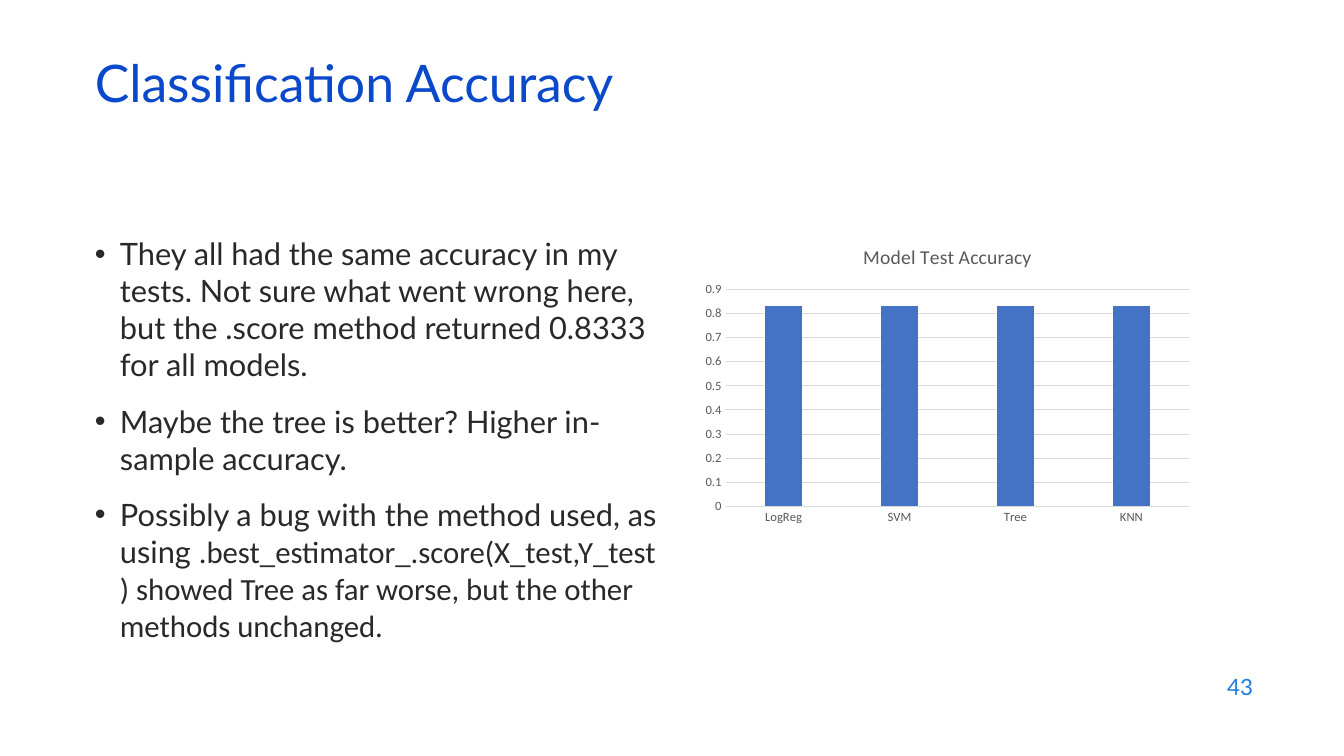
from lxml.etree import SubElement
from pptx import Presentation
from pptx.chart.data import CategoryChartData
from pptx.dml.color import RGBColor
from pptx.enum.chart import XL_CHART_TYPE, XL_TICK_MARK
from pptx.enum.text import MSO_ANCHOR, MSO_AUTO_SIZE, PP_ALIGN
from pptx.oxml.ns import qn
from pptx.util import Pt

# Content
TITLE = "Classification Accuracy"
PAGE_NUMBER = "43"
BULLETS = [
    [("They all had the same accuracy in my tests. Not sure what went wrong here, "
      "but the .score method returned 0.8333 for all models.", "Lato")],
    [("Maybe the tree is better? Higher in-sample accuracy.", "Lato")],
    [("Possibly a bug with the method used, as using ", "Lato"),
     (".best_estimator_.score(X_test,Y_test) showed Tree as far worse, "
      "but the other methods unchanged.", "Calibri")],
]
CHART_TITLE = "Model Test Accuracy"
ACCURACY = {"LogReg": 0.83, "SVM": 0.83, "Tree": 0.83, "KNN": 0.83}

# Places in points: left, top, width, height
TITLE_AT = (60.5, 42.5, 828, 43.2)
BODY_AT = (60.5, 164.2, 419, 300.2)
CHART_AT = (496.8, 163.4, 360, 216)
NUMBER_AT = (686.2, 474.5, 216, 31.7)
INDENT = 18

# Formats
TITLE_FONT = {"name": "Lato", "size": 37, "color": "0B49CB"}
BODY_FONT = {"size": 22, "color": "292929"}
NUMBER_FONT = {"name": "Lato", "size": 16, "color": "1C7DDB"}
CHART_FONT = {"name": "Calibri", "size": 10, "color": "000000"}
CHART_TITLE_FONT = {"name": "Calibri", "size": 14, "bold": False, "color": "595959"}
AXIS_FONT = {"name": "Calibri", "size": 9, "color": "595959"}
GRID, BAR = "D9D9D9", "4472C4"


def paint(target, color):
    target.rgb = RGBColor.from_string(color)


def set_font(font, formats):
    for name, value in formats.items():
        if name == "color":
            paint(font.color, value)
        else:
            setattr(font, name, Pt(value) if name == "size" else value)


def place(box, at):
    for name, value in zip(("left", "top", "width", "height"), at):
        setattr(box, name, Pt(value))


def prepare(box, anchor):
    frame = box.text_frame
    frame.word_wrap = True
    frame.auto_size = MSO_AUTO_SIZE.NONE
    frame.vertical_anchor = anchor
    return frame


def thin_line(line):
    paint(line.color, GRID)
    line.width = Pt(0.75)


deck = Presentation()
deck.slide_width, deck.slide_height = Pt(960), Pt(540)
page = deck.slides.add_slide(deck.slide_layouts[1])

# Title
title = page.shapes.title
place(title, TITLE_AT)
para = prepare(title, MSO_ANCHOR.MIDDLE).paragraphs[0]
para.text = TITLE
para.alignment = PP_ALIGN.LEFT
para.line_spacing = 0.7
set_font(para.runs[0].font, TITLE_FONT)

# Bullet list
body = page.placeholders[1]
place(body, BODY_AT)
frame = prepare(body, MSO_ANCHOR.TOP)
for index, pieces in enumerate(BULLETS):
    para = frame.add_paragraph() if index else frame.paragraphs[0]
    para.space_before = Pt(14 if index else 0)
    properties = para._p.get_or_add_pPr()
    properties.set("marL", str(Pt(INDENT)))
    properties.set("indent", str(-Pt(INDENT)))
    SubElement(properties, qn("a:buFont"), typeface="Arial")
    SubElement(properties, qn("a:buChar"), char="•")
    for text, face in pieces:
        span = para.add_run()
        span.text = text
        set_font(span.font, {"name": face, **BODY_FONT})

# Accuracy chart
data = CategoryChartData()
data.categories = list(ACCURACY)
data.add_series("Series 1", list(ACCURACY.values()))
chart = page.shapes.add_chart(
    XL_CHART_TYPE.COLUMN_CLUSTERED, *map(Pt, CHART_AT), data).chart
set_font(chart.font, CHART_FONT)
chart.has_legend = False
chart.has_title = True
heading = chart.chart_title.text_frame.paragraphs[0]
heading.text = CHART_TITLE
set_font(heading.runs[0].font, CHART_TITLE_FONT)

plot = chart.plots[0]
plot.gap_width, plot.overlap = 219, -27
plot.vary_by_categories = False
bars = plot.series[0].format.fill
bars.solid()
paint(bars.fore_color, BAR)

for axis in (chart.category_axis, chart.value_axis):
    axis.major_tick_mark = axis.minor_tick_mark = XL_TICK_MARK.NONE
    set_font(axis.tick_labels.font, AXIS_FONT)
thin_line(chart.category_axis.format.line)
values = chart.value_axis
values.minimum_scale, values.maximum_scale, values.major_unit = 0, 0.9, 0.1
values.tick_labels.number_format = "General"
values.tick_labels.number_format_is_linked = False
values.format.line.fill.background()
values.has_major_gridlines = True
thin_line(values.major_gridlines.format.line)

# Page number
number = page.shapes.add_textbox(*map(Pt, NUMBER_AT))
para = prepare(number, MSO_ANCHOR.MIDDLE).paragraphs[0]
para.text = PAGE_NUMBER
para.alignment = PP_ALIGN.RIGHT
set_font(para.runs[0].font, NUMBER_FONT)

deck.save("out.pptx")
